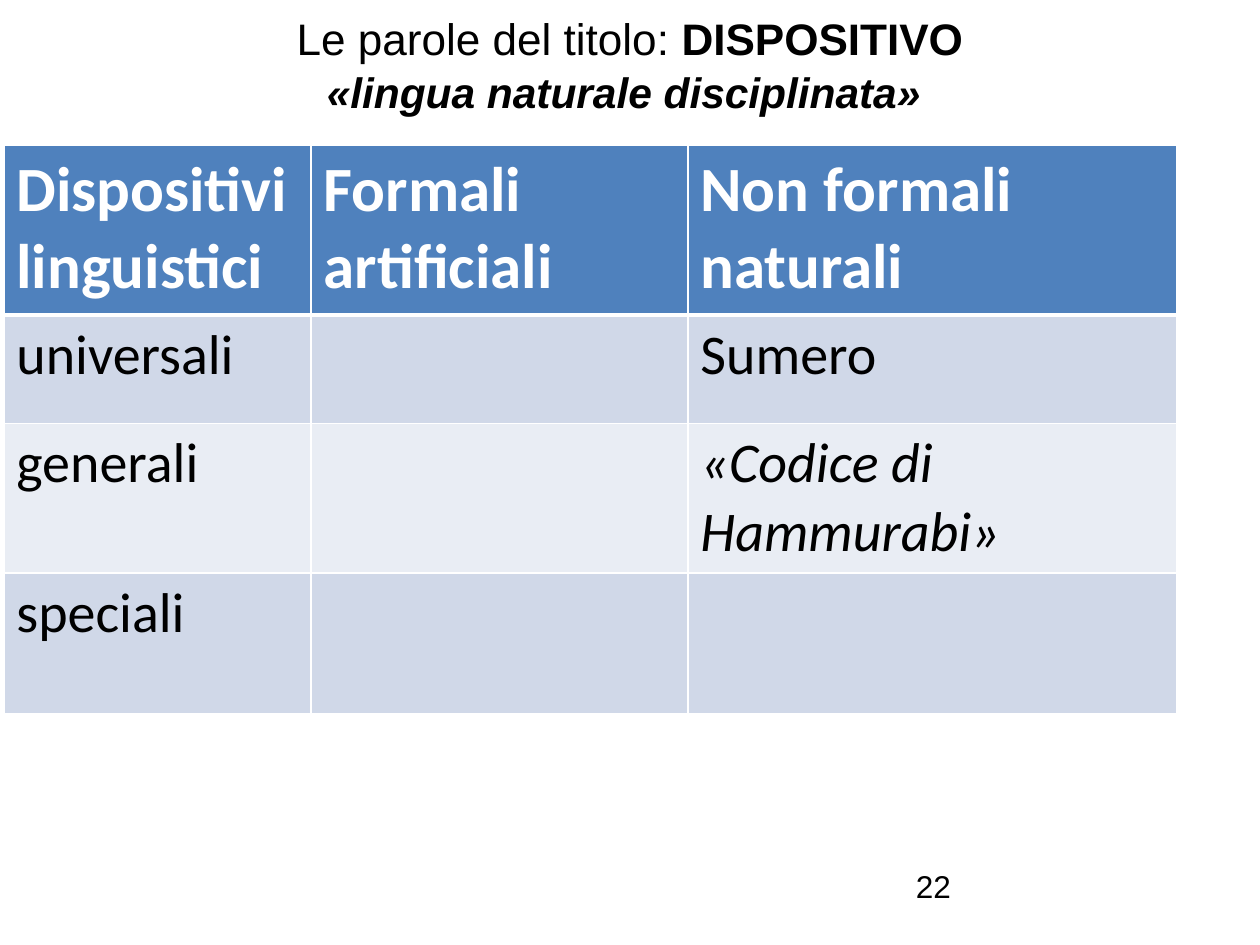
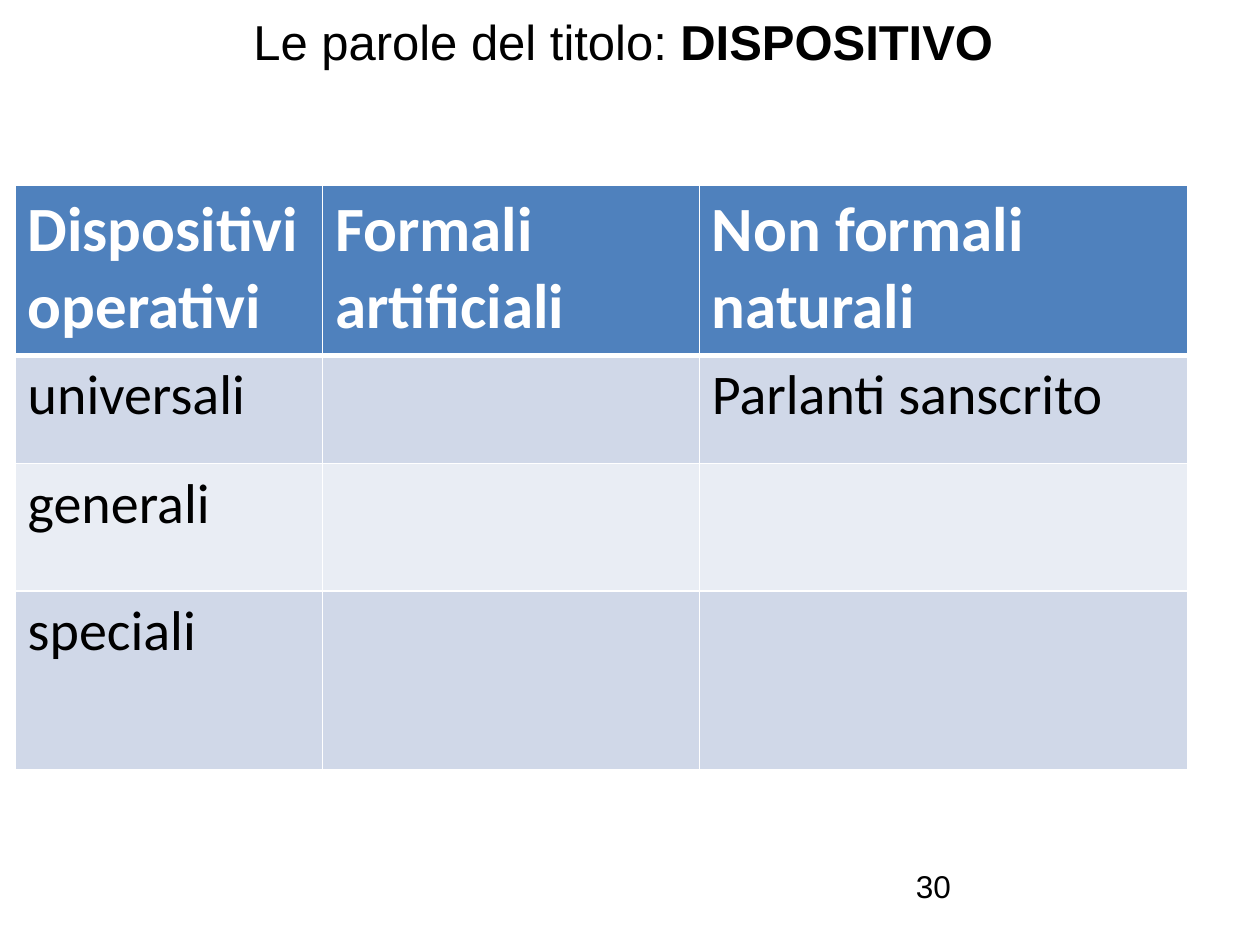
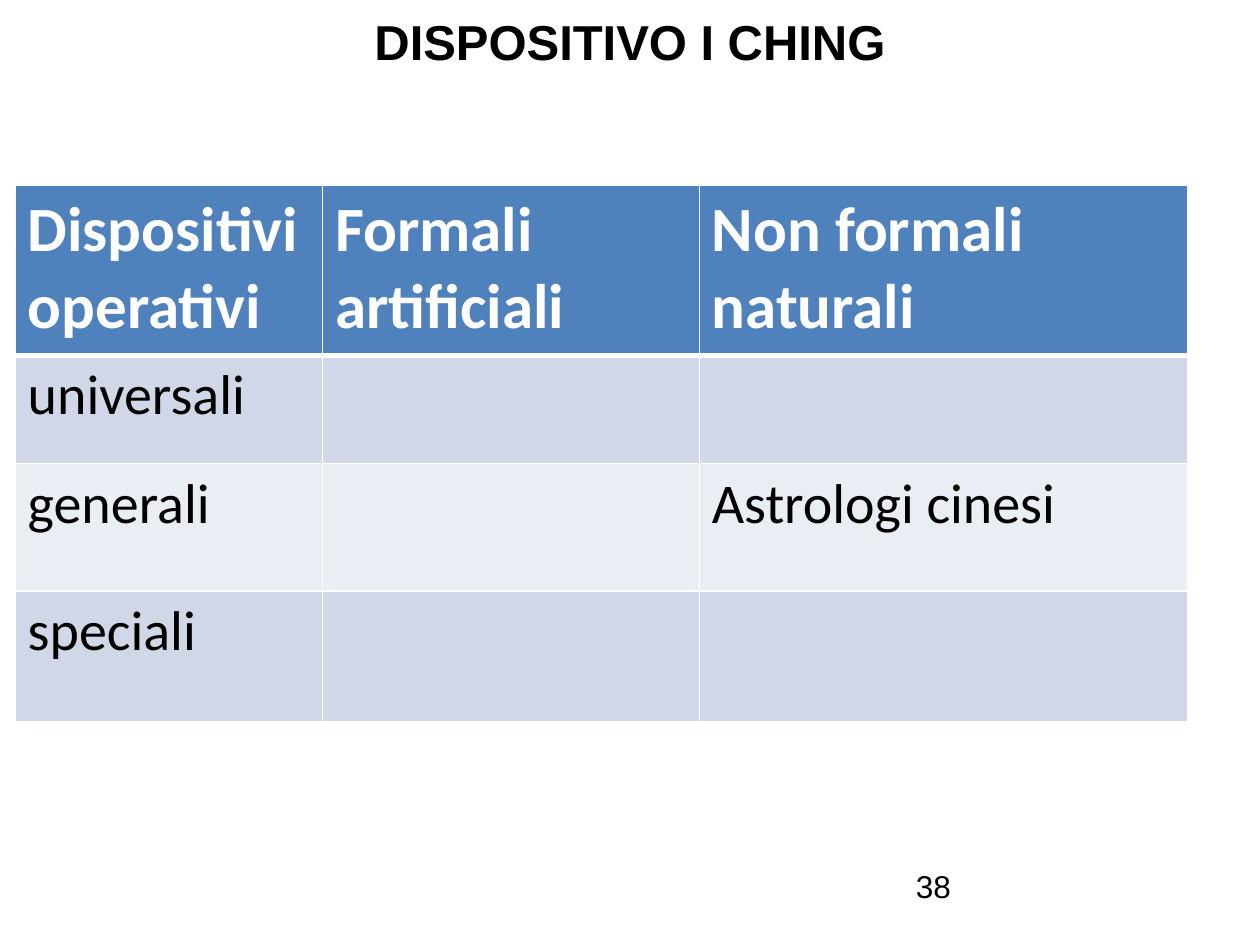
from lxml.etree import SubElement
from pptx import Presentation
from pptx.dml.color import RGBColor as Rgb
from pptx.enum.text import MSO_ANCHOR as Anchor, PP_ALIGN as Align
from pptx.oxml.ns import qn
from pptx.util import Inches, Pt

COLORS = {"ink": "000000", "paper": "FFFFFF", "header": "4F81BD",
          "odd": "D0D8E8", "even": "E9EDF4"}
GRID = 100  # grid units across the slide width, same unit downwards
COLUMNS = (24.4, 29.9, 38.8)
KINDS = ("universali", "generali", "speciali")


class DeckBuilder:
    """Holds the shared style and the slide being built."""

    def __init__(self):
        self.deck = Presentation()
        self.deck.slide_width, self.deck.slide_height = Inches(10), Inches(7.5)
        self.page = None

    def units(self, *counts):
        return [round(self.deck.slide_width * count / GRID) for count in counts]

    def new_page(self):
        self.page = self.deck.slides.add_slide(self.deck.slide_layouts[5])

    def add_span(self, para, text, size, font="Arial", color="ink", style=""):
        span = para.add_run()
        span.text = text
        span.font.name, span.font.size = font, Pt(size)
        span.font.bold, span.font.italic = "b" in style, "i" in style
        span.font.color.rgb = Rgb.from_string(COLORS[color])

    def title(self, lines):
        box = self.page.shapes.title
        box.left, box.top, box.width, box.height = self.units(5, 0, 90, 8.4)
        frame = box.text_frame
        frame.word_wrap, frame.vertical_anchor = True, Anchor.TOP
        frame.margin_top = self.units(0.9)[0]
        para = frame.paragraphs[0]
        para.alignment = Align.CENTER
        for index, line in enumerate(lines):
            if index:
                para.add_line_break()
            for text, size, style in line:
                self.add_span(para, text, size, style=style)

    def border(self, cell, is_header):
        properties = cell._tc.get_or_add_tcPr()
        for index, side in enumerate("LRTB"):
            width = 3 if is_header and side == "B" else 1
            line = SubElement(properties, qn(f"a:ln{side}"), w=str(Pt(width)))
            fill = SubElement(line, qn("a:solidFill"))
            SubElement(fill, qn("a:srgbClr"), val=COLORS["paper"])
            properties.insert(index, line)

    def table(self, left, top, heights, headings, notes):
        """Three kinds by row; notes maps a kind to (lines, style)."""
        rows = [headings] + [(kind, "", notes.get(kind, ("", ""))[0]) for kind in KINDS]
        frame = self.page.shapes.add_table(
            len(rows), len(COLUMNS),
            *self.units(left, top, sum(COLUMNS), sum(heights)))
        grid = frame.table
        for column, width in zip(grid.columns, self.units(*COLUMNS)):
            column.width = width
        for row, height in zip(grid.rows, self.units(*heights)):
            row.height = height
        for r, texts in enumerate(rows):
            for c, text in enumerate(texts):
                cell = grid.cell(r, c)
                fill = "header" if r == 0 else "odd" if r % 2 else "even"
                cell.fill.solid()
                cell.fill.fore_color.rgb = Rgb.from_string(COLORS[fill])
                self.border(cell, r == 0)
                if not text:
                    continue
                size, color, style = (36, "paper", "b") if r == 0 else (32, "ink", "")
                if r and c == len(COLUMNS) - 1:
                    style = notes[texts[0]][1]
                for index, line in enumerate(text.split("\n")):
                    body = cell.text_frame
                    para = body.add_paragraph() if index else body.paragraphs[0]
                    self.add_span(para, line, size, "Calibri", color, style)

    def page_number(self, number):
        box = self.page.shapes.add_textbox(*self.units(71.7, 68.3, 23.3, 5.2))
        box.text_frame.word_wrap = True
        self.add_span(box.text_frame.paragraphs[0], str(number), 18)


def main():
    builder = DeckBuilder()
    shared_headings = ("Formali\nartificiali", "Non formali\nnaturali")
    operative = ("Dispositivi operativi", *shared_headings)
    linguistic = ("Dispositivi\nlinguistici", *shared_headings)
    lead = "Le parole del titolo: "

    # Title lines, table corner, row heights, headings, notes, page number
    pages = [
        ([[(lead, 25.2, ""), ("DISPOSITIVO", 25.2, "b")],
          [("«lingua naturale disciplinata»", 24.3, "bi"), (" ", 25.2, "")]],
         (0.3, 11.5), (13.5, 8.6, 11.8, 11.2), linguistic,
         {"universali": ("Sumero", ""),
          "generali": ("«Codice di\nHammurabi»", "i")}, 22),
        ([[(lead, 28, ""), ("DISPOSITIVO ", 28, "b")]],
         (1.2, 14.7), (13.5, 8.6, 10.1, 14.2), operative,
         {"universali": ("Parlanti sanscrito", "")}, 30),
        ([[(" ", 28, ""), ("DISPOSITIVO I CHING ", 28, "b")]],
         (1.2, 14.7), (13.5, 8.6, 10.1, 10.4), operative,
         {"generali": ("Astrologi cinesi", "")}, 38),
    ]
    for title, corner, heights, headings, notes, number in pages:
        builder.new_page()
        builder.title(title)
        builder.table(*corner, heights, headings, notes)
        builder.page_number(number)

    builder.deck.save("out.pptx")


if __name__ == "__main__":
    main()
